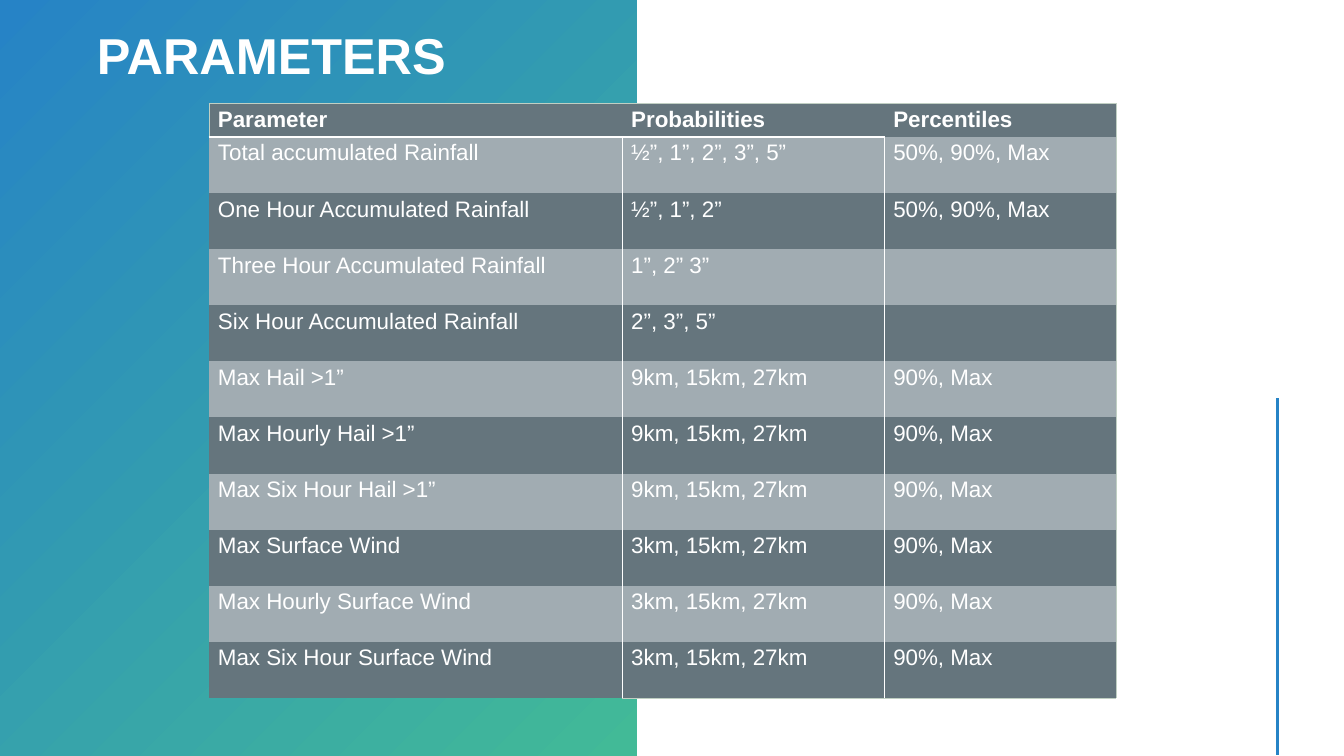
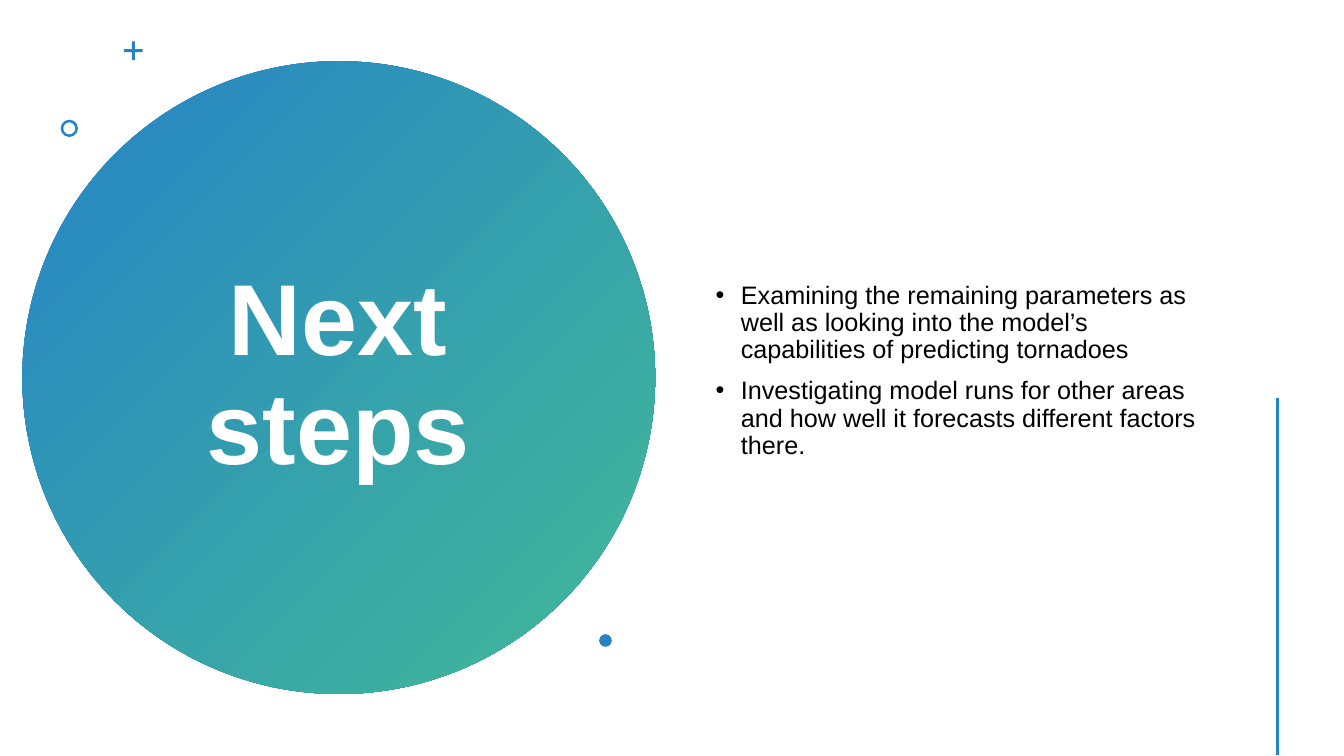
import dataclasses

import lxml.etree
import pptx
import pptx.dml.color
import pptx.enum.shapes
import pptx.enum.text
import pptx.oxml.ns
import pptx.util

Pt = pptx.util.Pt
qn = pptx.oxml.ns.qn
Shape = pptx.enum.shapes.MSO_SHAPE
Anchor = pptx.enum.text.MSO_ANCHOR
Align = pptx.enum.text.PP_ALIGN


@dataclasses.dataclass(frozen=True)
class Theme:
    """Colours, type sizes and font of the deck."""
    font: str = "Arial"
    blue: str = "2683C6"
    green: str = "42BA97"
    white: str = "FFFFFF"
    black: str = "000000"
    dark: str = "65757D"
    light: str = "A1ACB2"
    edge: str = "C0CFC3"
    head: int = 36
    hero: int = 72
    body: int = 18
    cell: int = 16


THEME = Theme()

ROWS = [
    ("Parameter", "Probabilities", "Percentiles"),
    ("Total accumulated Rainfall", "½”, 1”, 2”, 3”, 5”", "50%, 90%, Max"),
    ("One Hour Accumulated Rainfall", "½”, 1”, 2”", "50%, 90%, Max"),
    ("Three Hour Accumulated Rainfall", "1”, 2” 3”", ""),
    ("Six Hour Accumulated Rainfall", "2”, 3”, 5”", ""),
    ("Max Hail >1”", "9km, 15km, 27km", "90%, Max"),
    ("Max Hourly Hail >1”", "9km, 15km, 27km", "90%, Max"),
    ("Max Six Hour Hail >1”", "9km, 15km, 27km", "90%, Max"),
    ("Max Surface Wind", "3km, 15km, 27km", "90%, Max"),
    ("Max Hourly Surface Wind", "3km, 15km, 27km", "90%, Max"),
    ("Max Six Hour Surface Wind", "3km, 15km, 27km", "90%, Max"),
]

STEPS = [
    "Examining the remaining parameters as well as looking into the model’s "
    "capabilities of predicting tornadoes",
    "Investigating model runs for other areas and how well it forecasts "
    "different factors there.",
]


def rgb(code):
    """Turn a hex code into a colour."""
    return pptx.dml.color.RGBColor.from_string(code)


def style(para, size, color, bold=False):
    """Set the font of a paragraph."""
    font = para.font
    font.name, font.size, font.bold = THEME.font, Pt(size), bold
    font.color.rgb = rgb(color)


def add_form(slide, kind, box, color=None, adjust=None):
    """Add a preset shape, plain or with the deck's gradient."""
    form = slide.shapes.add_shape(kind, *map(Pt, box))
    form.shadow.inherit = False
    form.line.fill.background()
    if color:
        form.fill.solid()
        form.fill.fore_color.rgb = rgb(color)
    else:
        form.fill.gradient()
        form.fill.gradient_angle = 315
        ends = zip(form.fill.gradient_stops, (THEME.blue, THEME.green), (0, 1))
        for stop, shade, place in ends:
            stop.color.rgb, stop.position = rgb(shade), place
    if adjust is not None:
        form.adjustments[0] = adjust
    return form


def add_rule(slide):
    """Add the upright line at the right of each slide."""
    line = slide.shapes.add_connector(
        pptx.enum.shapes.MSO_CONNECTOR.STRAIGHT,
        Pt(912.5), Pt(284.5), Pt(912.5), Pt(539.5))
    line.line.color.rgb = rgb(THEME.blue)
    line.line.width = Pt(2)
    props = line.element.find(qn("p:spPr"))
    lxml.etree.SubElement(props, qn("a:effectLst"))


def fill_holder(holder, box, lines, anchor):
    """Place a placeholder on top, write its lines and return them."""
    holder.left, holder.top, holder.width, holder.height = map(Pt, box)
    holder.element.getparent().append(holder.element)
    frame = holder.text_frame
    frame.word_wrap = True
    frame.auto_size = pptx.enum.text.MSO_AUTO_SIZE.NONE
    frame.vertical_anchor = anchor
    frame.text = "\n".join(lines)
    for para in frame.paragraphs:
        para.line_spacing = 0.9
    return frame.paragraphs


def set_title(slide, text, box, size, align, anchor):
    """Write the slide title in bold white."""
    para, = fill_holder(slide.shapes.title, box, [text], anchor)
    para.alignment = align
    style(para, size, THEME.white, bold=True)


def set_list(holder, lines, box):
    """Write a bulleted list."""
    for para in fill_holder(holder, box, lines, Anchor.MIDDLE):
        para.space_before = Pt(10)
        style(para, THEME.body, THEME.black)
        props = para._p.get_or_add_pPr()
        props.set("marL", str(Pt(18)))
        props.set("indent", str(-Pt(18)))
        lxml.etree.SubElement(props, qn("a:buChar"), char="•")
        props.append(props.find(qn("a:defRPr")))


def set_sides(cell, sides):
    """Draw the named sides of a cell and clear the others."""
    props = cell._tc.get_or_add_tcPr()
    for side in "LRTB":
        line = lxml.etree.SubElement(props, qn("a:ln" + side))
        if side in sides:
            color, width = sides[side]
            line.set("w", str(Pt(width)))
            fill = lxml.etree.SubElement(line, qn("a:solidFill"))
            lxml.etree.SubElement(fill, qn("a:srgbClr"), val=color)
        else:
            lxml.etree.SubElement(line, qn("a:noFill"))


def find_sides(row, col, last_row, last_col):
    """Tell which sides a cell shows, by its place in the table."""
    edge, thin, thick = (THEME.edge, 0.5), (THEME.white, 1), (THEME.white, 1.5)
    rules = [
        ("L", row == 0 and col == 0, edge),
        ("L", row > 0 and col > 0, thin),
        ("R", row > 0 and col < last_col, thin),
        ("R", col == last_col, edge),
        ("T", row == 0, edge),
        ("T", row == 1 and col < last_col, thick),
        ("B", row == 0 and col < last_col, thick),
        ("B", row == last_row and col > 0, edge),
    ]
    return {side: pen for side, shown, pen in rules if shown}


def add_grid(slide, rows, left, top, widths, first, pitch):
    """Add a table with a bold head row and banded rows below."""
    high = first + pitch * (len(rows) - 1)
    table = slide.shapes.add_table(
        len(rows), len(widths), Pt(left), Pt(top),
        Pt(sum(widths)), Pt(high)).table
    table.first_row = table.horz_banding = False
    for column, width in zip(table.columns, widths):
        column.width = Pt(width)
    for r, texts in enumerate(rows):
        table.rows[r].height = Pt(pitch if r else first)
        for c, text in enumerate(texts):
            cell = table.cell(r, c)
            set_sides(cell, find_sides(r, c, len(rows) - 1, len(widths) - 1))
            cell.fill.solid()
            cell.fill.fore_color.rgb = rgb(THEME.light if r % 2 else THEME.dark)
            cell.margin_left = cell.margin_right = Pt(6.5)
            cell.margin_top = cell.margin_bottom = Pt(2.8)
            cell.text = text
            style(cell.text_frame.paragraphs[0], THEME.cell, THEME.white, r == 0)


def add_table_slide(deck):
    """Build the slide with the table of parameters."""
    slide = deck.slides.add_slide(deck.slide_layouts[5])
    add_form(slide, Shape.RECTANGLE, (0, 0, 455, 540))
    add_rule(slide)
    add_grid(slide, ROWS, 149.2, 73.8, (295.2, 187.2, 165.6), 24, 40.1)
    set_title(slide, "PARAMETERS", (62, -68, 346, 135.5),
              THEME.head, Align.LEFT, Anchor.BOTTOM)
    slide.shapes.title.text_frame.margin_bottom = Pt(6.5)


def add_steps_slide(deck):
    """Build the slide with the next steps."""
    slide = deck.slides.add_slide(deck.slide_layouts[1])
    add_form(slide, Shape.OVAL, (16, 43.7, 452, 452))
    set_title(slide, "Next steps", (98, 101.5, 287, 336),
              THEME.hero, Align.CENTER, Anchor.MIDDLE)
    add_form(slide, Shape.CROSS, (88.5, 29.5, 13.5, 13.5), THEME.blue, 0.42)
    add_form(slide, Shape.DONUT, (43.3, 85.5, 12.4, 12.4), THEME.blue, 0.15)
    set_list(slide.placeholders[1], STEPS, (504, 30, 368.5, 470))
    add_form(slide, Shape.OVAL, (428, 453, 9, 9), THEME.blue)
    add_rule(slide)


def main():
    """Build and save the deck."""
    deck = pptx.Presentation()
    deck.slide_width, deck.slide_height = Pt(960), Pt(540)
    add_table_slide(deck)
    add_steps_slide(deck)
    deck.save("out.pptx")


main()
